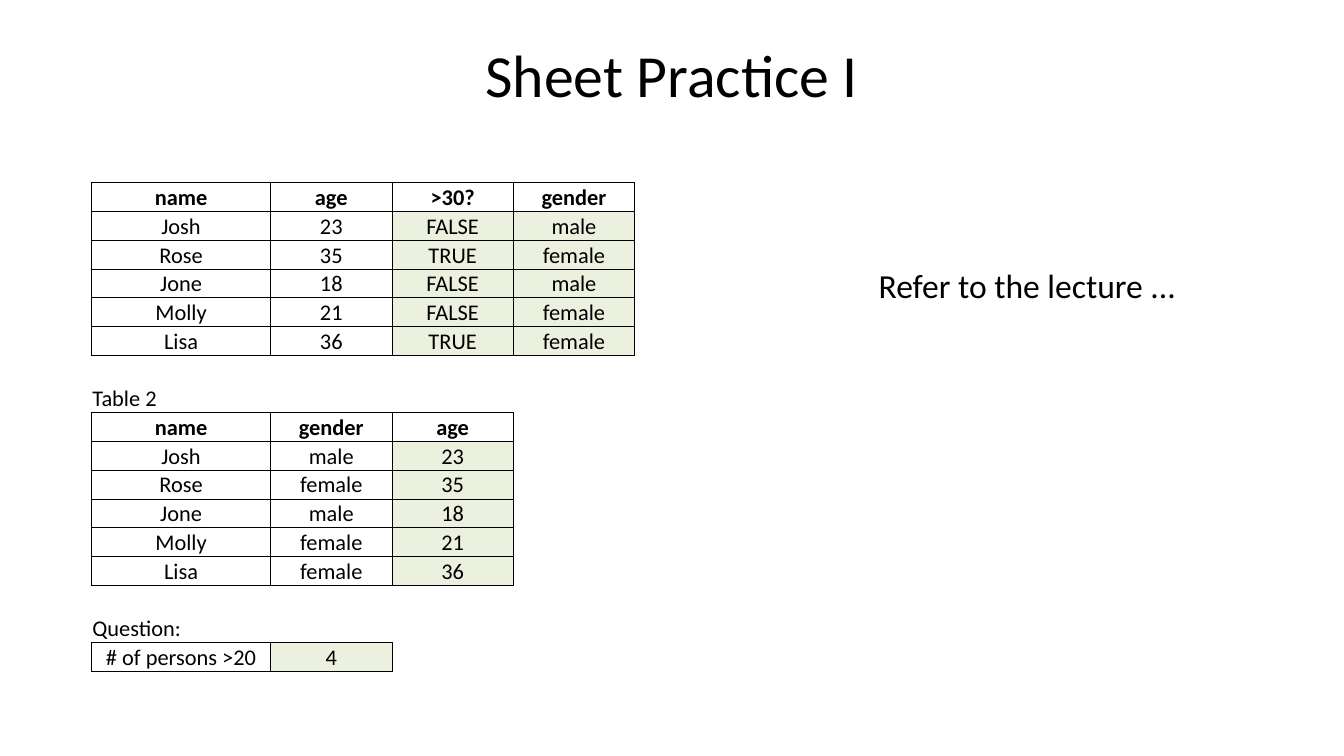
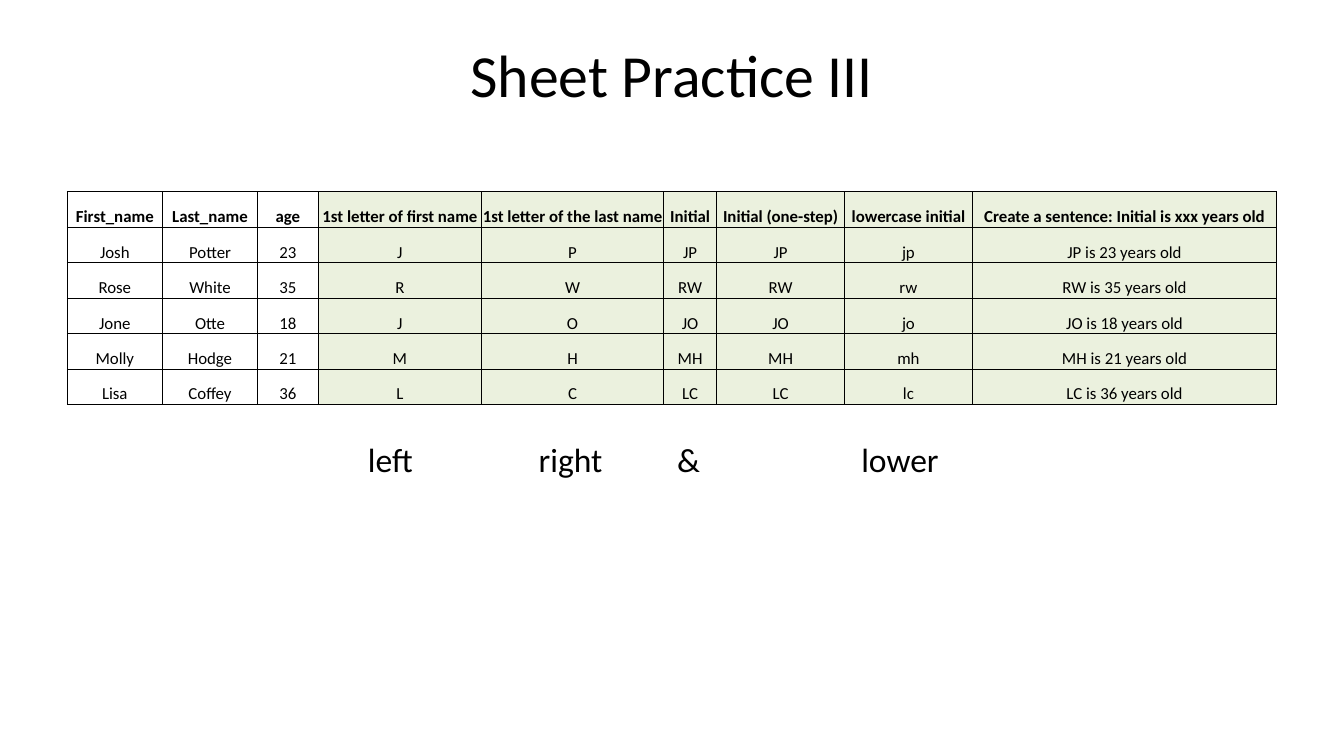
from lxml import etree
from pptx import Presentation
from pptx import util as u
from pptx.dml import color
from pptx.enum import text
from pptx.oxml import parse_xml
from pptx.oxml.ns import nsdecls

FONT = "Calibri"
BLACK = "000000"
GREEN = "EBF1DE"
NO_STYLE = "{2D5ABB26-0587-4C30-8999-92F81FD0307C}"
CENTER = text.PP_ALIGN.CENTER
LEFT = text.PP_ALIGN.LEFT


def rgb(value):
    return color.RGBColor.from_string(value)


def add_text(page, words, left, top, width, height, size, title=False):
    box = page.shapes.add_textbox(u.Pt(left), u.Pt(top), u.Pt(width), u.Pt(height))
    frame = box.text_frame
    frame.text = words
    frame.word_wrap = title
    if title:
        frame.vertical_anchor = text.MSO_ANCHOR.MIDDLE
        frame.paragraphs[0].alignment = CENTER
    else:
        frame.auto_size = text.MSO_AUTO_SIZE.SHAPE_TO_FIT_TEXT
    span = frame.paragraphs[0].runs[0]
    span.font.name, span.font.size = FONT, u.Pt(size)
    span.font.color.rgb = rgb(BLACK)


# Shared data: first name, last name, age, gender
people = [
    ("Josh", "Potter", 23, "male"),
    ("Rose", "White", 35, "female"),
    ("Jone", "Otte", 18, "male"),
    ("Molly", "Hodge", 21, "female"),
    ("Lisa", "Coffey", 36, "female"),
]
labels = ("Table 2", "Question:")

# Sheet of the first slide: two tables and a question, with gaps between
practice_one = [["name", "age", ">30?", "gender"]]
practice_one += [[first, age, str(age > 30).upper(), gender]
                 for first, last, age, gender in people]
practice_one += [[], ["Table 2"], ["name", "gender", "age"]]
practice_one += [[first, gender, age] for first, last, age, gender in people]
older = sum(age > 20 for first, last, age, gender in people)
practice_one += [[], ["Question:"], ["# of persons >20", older]]
green_one = {(row, column) for row in range(1, 6) for column in (2, 3)}
green_one |= {(row, 2) for row in range(9, 14)} | {(16, 1)}

# Sheet of the second slide: one table
practice_three = [[
    "First_name", "Last_name", "age", "1st letter of first name",
    "1st letter of the last name", "Initial", "Initial (one-step)",
    "lowercase initial", "Create a sentence: Initial is xxx years old",
]]
for first, last, age, gender in people:
    initial = first[0] + last[0]
    practice_three.append([first, last, age, first[0], last[0], initial, initial,
                           initial.lower(), f"{initial} is {age} years old"])
green_three = {(row, column) for row in range(6) for column in range(3, 9)}

slides = [
    dict(title="Sheet Practice I", rows=practice_one, green=green_one,
         headers=(0, 8), left=49, top=98, widths=[96, 65, 65, 65],
         row_height=15.42, size=12,
         notes=[("Refer to the lecture ...", 463.7, 138.2, 177)]),
    dict(title="Sheet Practice III", rows=practice_three, green=green_three,
         headers=(0,), left=36, top=102.7,
         widths=[51, 51, 32.5, 87.5, 97.5, 28.5, 68.5, 68.5, 163],
         row_height=19, size=9,
         notes=[("left", 190, 231.8, 39.6), ("right", 281.5, 231.8, 49),
                ("&", 355.7, 231.8, 26.6), ("lower", 454.3, 231.8, 56.2)]),
]

deck = Presentation()
deck.slide_width, deck.slide_height = u.Pt(720), u.Pt(405)

for sheet in slides:
    page = deck.slides.add_slide(deck.slide_layouts[6])
    add_text(page, sheet["title"], 36, 16.5, 648, 45.5, 32, title=True)

    # Table without a built-in style
    rows, widths, height = sheet["rows"], sheet["widths"], sheet["row_height"]
    table = page.shapes.add_table(
        len(rows), len(widths), u.Pt(sheet["left"]), u.Pt(sheet["top"]),
        u.Pt(sum(widths)), u.Pt(height * len(rows))).table
    table.first_row = table.horz_banding = False
    table._tbl.tblPr[0].text = NO_STYLE
    for column, width in zip(table.columns, widths):
        column.width = u.Pt(width)

    for row_number, values in enumerate(rows):
        table.rows[row_number].height = u.Pt(height)
        for column_number in range(len(widths)):
            cell = table.cell(row_number, column_number)
            cell.margin_left = cell.margin_right = u.Pt(0.5)
            cell.margin_top, cell.margin_bottom = u.Pt(0.75), 0
            cell.vertical_anchor = text.MSO_ANCHOR.BOTTOM
            para = cell.text_frame.paragraphs[0]

            # Empty cells keep the row's text size
            if column_number >= len(values):
                end = etree.SubElement(para._p, "{http://schemas.openxmlformats.org/drawingml/2006/main}endParaRPr")
                end.set("sz", str(sheet["size"] * 100))
                cell.fill.background()
                continue

            para.text = str(values[column_number])
            para.alignment = LEFT if para.text in labels else CENTER
            font = para.runs[0].font
            font.name, font.size = FONT, u.Pt(sheet["size"])
            font.bold = row_number in sheet["headers"]
            font.color.rgb = rgb(BLACK)

            # Thin borders around every cell but the labels
            if para.text not in labels:
                for side in ("lnL", "lnR", "lnT", "lnB"):
                    cell._tc.get_or_add_tcPr().append(parse_xml(
                        f'<a:{side} {nsdecls("a")} w="6350"><a:solidFill>'
                        f'<a:srgbClr val="{BLACK}"/></a:solidFill></a:{side}>'))
            if (row_number, column_number) in sheet["green"]:
                cell.fill.solid()
                cell.fill.fore_color.rgb = rgb(GREEN)
            else:
                cell.fill.background()

    # Notes beside or below the table
    for words, left, top, width in sheet["notes"]:
        add_text(page, words, left, top, width, 29, 18)

deck.save("out.pptx")
